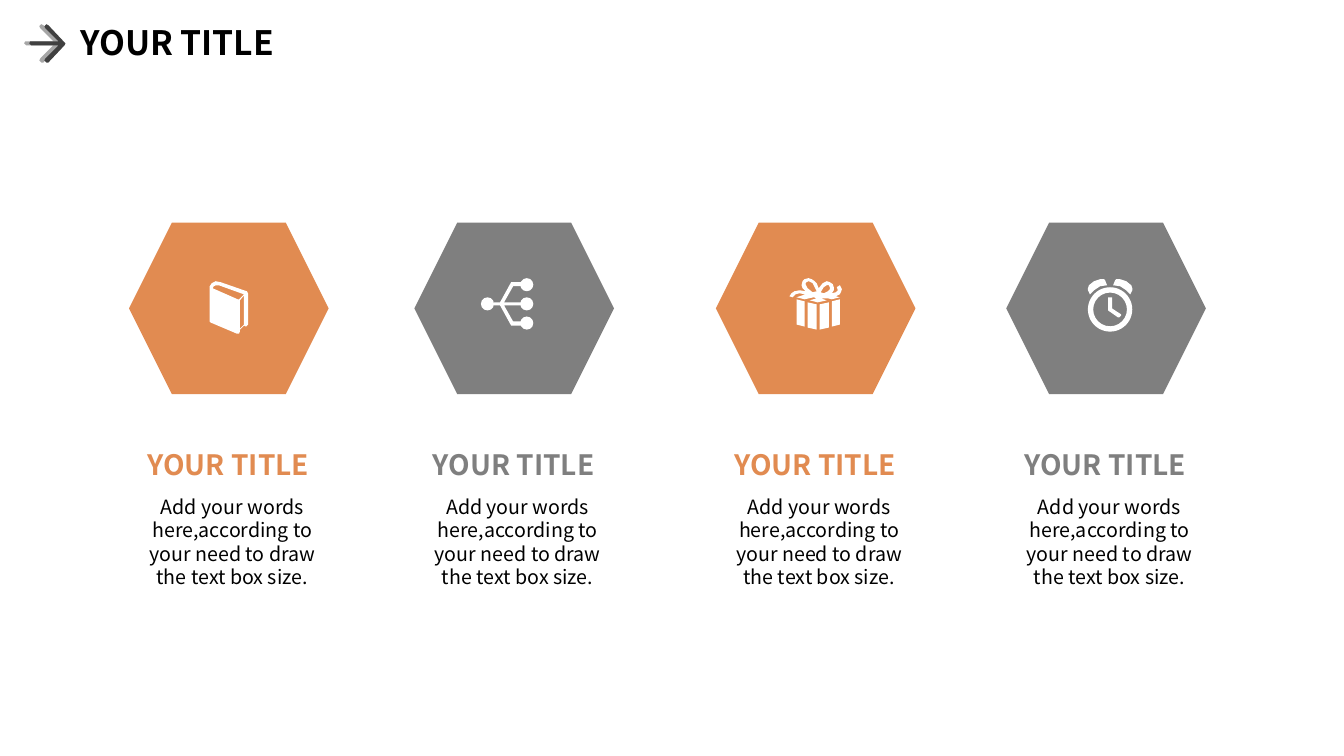
"""Build a slide with four hexagons, each with an icon, a heading and a text."""
from pptx import Presentation
from pptx import util as u
from pptx.dml.color import RGBColor
from pptx.enum import shapes, text

PX = 9144
FONT = "Noto Sans CJK SC"
HUES = {"orange": "E18B51", "grey": "7F7F7F", "black": "000000",
        "white": "FFFFFF", "dark": "404040", "pale": "A6A6A6"}
KIND = shapes.MSO_SHAPE
BODY = "Add your words here,according to your need to draw the text box size."
ARROW = [(41, 24), (43, 25), (59, 42), (60, 43), (59, 45), (43, 62), (41, 62),
         (40, 61), (39, 60), (40, 58), (53, 45), (26, 45), (25, 44), (24, 43),
         (25, 41), (26, 41), (53, 41), (40, 28), (39, 26), (40, 25)]
BOOK = [
    [(245, 289), (219, 280), (214, 279), (210, 281), (208, 284), (208, 319),
     (209, 320), (235, 331), (237, 331), (238, 329), (238, 327), (242, 323),
     (244, 324), (246, 322), (246, 291)],
    [(211, 286), (212, 284), (214, 283), (217, 283), (242, 292), (237, 297),
     (236, 297)],
    [(238, 298), (242, 293), (242, 322), (238, 326)]]
TREE = [(490, 300), (496, 300), (507, 280), (523, 280), (523, 284), (509, 284),
        (500, 300), (523, 300), (523, 303), (500, 303), (509, 319), (523, 319),
        (523, 323), (507, 323), (496, 303), (490, 303)]
DOTS = [(477, 295), (516, 276), (516, 295), (516, 314)]
BOW = [
    [(799, 292), (790, 295), (798, 297), (807, 295), (810, 296), (803, 298),
     (811, 300), (820, 298), (814, 296), (821, 296), (825, 297), (833, 295),
     (829, 294), (833, 292), (834, 290), (835, 287), (833, 283), (830, 285),
     (831, 288), (829, 290), (825, 291), (823, 292), (825, 291), (827, 288),
     (827, 285), (826, 282), (823, 280), (820, 279), (816, 281), (812, 286),
     (810, 281), (808, 279), (805, 277), (802, 276), (798, 277), (796, 279),
     (795, 283), (796, 286), (799, 289), (793, 288), (788, 289), (785, 291),
     (783, 294), (786, 295), (789, 292), (793, 291), (798, 292), (803, 293)],
    [(799, 282), (799, 281), (800, 280), (802, 279), (804, 280), (806, 281),
     (808, 285), (810, 289), (806, 290), (801, 286)],
    [(817, 291), (814, 290), (817, 285), (820, 283), (822, 283), (823, 285),
     (823, 287), (821, 289)]]
SIDES = [[(790, 297), (790, 322), (798, 324), (798, 299)],
         [(801, 300), (801, 325), (810, 327), (810, 302)]]
BELL = [(1098, 283), (1096, 278), (1095, 277), (1091, 277), (1085, 279),
        (1080, 283), (1079, 286), (1079, 288), (1081, 292), (1085, 288),
        (1091, 284)]
HANDS = [(1099, 295), (1103, 295), (1103, 306), (1112, 312), (1112, 313),
         (1110, 315), (1109, 315), (1099, 308)]


def paint(shp, hue):
    """Give a shape a plain fill with no line or shadow."""
    shp.shadow.inherit = False
    shp.fill.solid()
    shp.fill.fore_color.rgb = RGBColor.from_string(HUES[hue])
    shp.line.fill.background()
    return shp


def preset(page, kind, box, hue):
    """Add a filled preset shape."""
    return paint(page.shapes.add_shape(kind, *[n * PX for n in box]), hue)


def trace(page, rings, hue="white"):
    """Add one filled outline made of one or more closed rings."""
    pen = page.shapes.build_freeform(*rings[0][0], scale=PX)
    for i, ring in enumerate(rings):
        if i:
            pen.move_to(*ring[0])
        pen.add_line_segments(ring[1:], close=True)
    return paint(pen.convert_to_shape(), hue)


def flip(ring, axis):
    """Mirror a ring about a vertical axis."""
    return [(2 * axis - x, y) for x, y in ring]


def write(page, words, box, size, hue="black", bold=False, align="LEFT"):
    """Add a wrapped text box."""
    frame = page.shapes.add_textbox(*[n * PX for n in box]).text_frame
    frame.word_wrap = True
    frame.auto_size = text.MSO_AUTO_SIZE.SHAPE_TO_FIT_TEXT
    para = frame.paragraphs[0]
    para.alignment = getattr(text.PP_ALIGN, align)
    run = para.add_run()
    run.text = words
    font = run.font
    font.name, font.size, font.bold = FONT, u.Pt(size), bold
    font.color.rgb = RGBColor.from_string(HUES[hue])


def book(page):
    """Draw the book icon."""
    trace(page, BOOK)


def tree(page):
    """Draw the branching icon."""
    trace(page, [TREE])
    for x, y in DOTS:
        preset(page, KIND.OVAL, (x, y, 13, 13), "white")


def gift(page):
    """Draw the gift icon."""
    for side in SIDES:
        trace(page, [side])
        trace(page, [flip(side, 811.5)])
    trace(page, BOW)


def clock(page):
    """Draw the alarm clock icon."""
    rim = preset(page, KIND.DONUT, (1079, 285, 44, 44), "white")
    rim.adjustments[0] = 0.12
    trace(page, [BELL])
    trace(page, [flip(BELL, 1101)])
    trace(page, [HANDS])


def main():
    """Build and save the slide."""
    deck = Presentation()
    deck.slide_width, deck.slide_height = 1333 * PX, 750 * PX
    page = deck.slides.add_slide(deck.slide_layouts[6])
    write(page, "YOUR TITLE", (70, 17, 300, 50), 24, bold=True)
    trace(page, [ARROW], "pale")
    trace(page, [[(x + 5, y) for x, y in ARROW]], "dark")
    items = [(128, "orange", book), (411, "grey", tree),
             (710, "orange", gift), (998, "grey", clock)]
    for left, hue, icon in items:
        preset(page, KIND.HEXAGON, (left, 221, 198, 170), hue)
        icon(page)
        write(page, BODY, (left - 4, 486, 213, 104), 14, align="CENTER")
        write(page, "YOUR TITLE", (left - 8, 439, 213, 44), 20, hue,
              bold=True, align="CENTER")
    deck.save("out.pptx")


if __name__ == "__main__":
    main()
